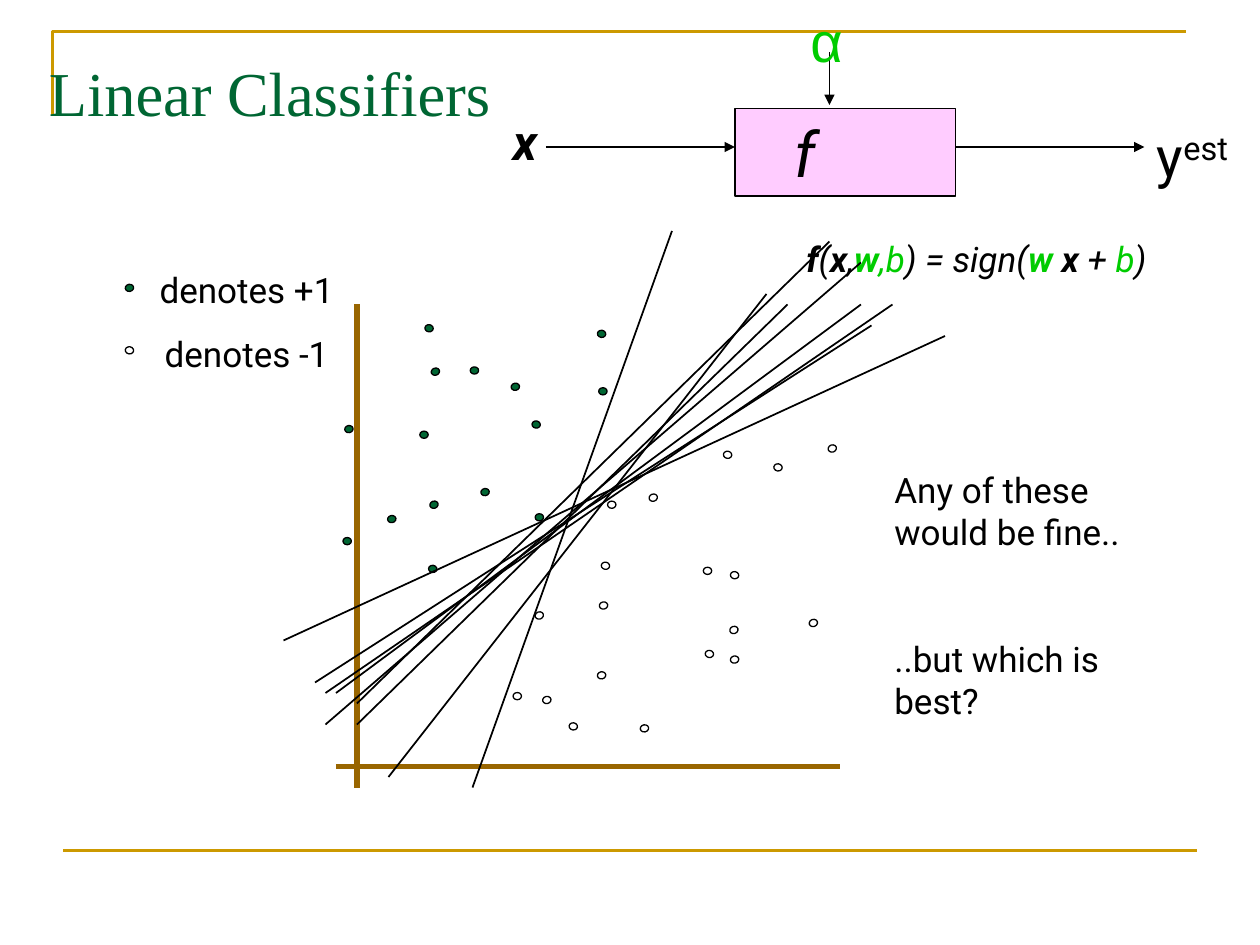
from lxml.etree import SubElement
from pptx import Presentation
from pptx.dml.color import RGBColor
from pptx.enum.shapes import MSO_CONNECTOR, MSO_SHAPE
from pptx.enum.text import MSO_ANCHOR, MSO_AUTO_SIZE, PP_ALIGN
from pptx.oxml.ns import qn
from pptx.util import Pt

INK, GREEN, LIME, PINK, WHITE = "000000", "006633", "00CC00", "FFCCFF", "FFFFFF"
GOLD, BROWN = "CC9900", "996600"
LEFT, MID = PP_ALIGN.LEFT, PP_ALIGN.CENTER

# Data points by tilt in degrees: centres of class +1, then of class -1
DOTS = {
    0: ([(36.4, 177.2), (182.5, 91.6), (109.1, 79.7), (146.2, 163.6), (80.3, 116.4)],
        [(133.6, 265.8), (187.6, 156.4), (242.3, 194.2)]),
    -18.6: ([(86.8, 80.4), (86, 156.4)],
            [(146.2, 219.7), (313.6, 124.3), (257.4, 228), (211.3, 152.4),
             (302.8, 224)]),
    8.2: ([(144.4, 110.6), (85.3, 193.1), (181.8, 58.8), (83.2, 55.6)],
          [(165.6, 283.1), (257.8, 196.7), (184, 191.3), (282.6, 135.1),
           (253.8, 127.9), (243.4, 241.7)]),
    -10.4: ([(115.2, 149.2), (61.9, 164.6), (132.5, 89), (37.4, 113.2)],
            [(206.3, 284.2), (181.8, 253.9), (182.9, 214), (150.5, 268),
             (257.8, 244.9)]),
}
# Candidate boundaries: lower end, upper end
BOUNDS = [
    (108, 318, 222, 0), (18, 258, 336, 54), (42, 282, 288, 42),
    (0, 234, 378, 60), (30, 264, 330, 42), (24, 282, 330, 18),
    (42, 270, 312, 6), (60, 312, 276, 36), (24, 264, 348, 42),
]


def tint(code):
    """Turn a hex string into a colour."""
    return RGBColor.from_string(code)


def rule(slide, x1, y1, x2, y2, color=INK, width=1, arrow=False):
    """Draw a straight line, with an arrowhead at its end if asked."""
    line = slide.shapes.add_connector(
        MSO_CONNECTOR.STRAIGHT, Pt(x1), Pt(y1), Pt(x2), Pt(y2))
    line.line.color.rgb = tint(color)
    line.line.width = Pt(width)
    if arrow:
        SubElement(line.line._get_or_add_ln(), qn("a:tailEnd"), type="triangle")
    SubElement(line._element.spPr, qn("a:effectLst"))


def solid(slide, kind, x, y, w, h, fill, width):
    """Draw a filled preset shape with a black outline."""
    shape = slide.shapes.add_shape(kind, Pt(x), Pt(y), Pt(w), Pt(h))
    shape.shadow.inherit = False
    shape.fill.solid()
    shape.fill.fore_color.rgb = tint(fill)
    shape.line.color.rgb = tint(INK)
    shape.line.width = Pt(width)
    return shape


def dot(slide, x, y, fill, tilt):
    """Draw one data point around its centre."""
    w, h = 4.8, 4.1
    mark = solid(slide, MSO_SHAPE.OVAL, x - w / 2, y - h / 2, w, h, fill, 0.75)
    mark.rotation = tilt


def write(para, runs, size, align=LEFT, before=0, face="Roboto"):
    """Fill a paragraph with runs of (text, style letters, colour)."""
    para.alignment = align
    para.space_before = Pt(before)
    for text, style, color in runs:
        run = para.add_run()
        run.text = text
        font = run.font
        font.name, font.size = face, Pt(size)
        font.bold, font.italic = "b" in style, "i" in style
        font.color.rgb = tint(color)
        if "^" in style:
            run._r.get_or_add_rPr().set("baseline", "30000")


def label(slide, x, y, w, h, lines, size, align=LEFT, gap=12.5, face="Roboto"):
    """Add a wrapped text box, one paragraph per list of runs."""
    frame = slide.shapes.add_textbox(Pt(x), Pt(y), Pt(w), Pt(h)).text_frame
    frame.word_wrap = True
    frame.auto_size = MSO_AUTO_SIZE.SHAPE_TO_FIT_TEXT
    for i, runs in enumerate(lines):
        para = frame.add_paragraph() if i else frame.paragraphs[0]
        write(para, runs, size, align, gap if i else 0, face)


def header(slide, x, y, w, h):
    """Draw the corner rule, the foot rule and the title."""
    path = slide.shapes.build_freeform(Pt(x), Pt(y + 48))
    path.add_line_segments([(Pt(x), Pt(y)), (Pt(x + w), Pt(y))], close=False)
    edge = path.convert_to_shape()
    edge.shadow.inherit = False
    edge.fill.background()
    edge.line.color.rgb = tint(GOLD)
    edge.line.width = Pt(1.5)
    rule(slide, x + 6, y + h, x + w + 6, y + h, GOLD, 1.5)

    title = slide.shapes.title
    title.left, title.top = Pt(x - 18), Pt(y + 6)
    title.width, title.height = Pt(366), Pt(54)
    frame = title.text_frame
    frame.auto_size = MSO_AUTO_SIZE.NONE
    frame.vertical_anchor = MSO_ANCHOR.BOTTOM
    frame.margin_left = Pt(16)
    para = frame.paragraphs[0]
    para.line_spacing = 0.9
    write(para, [("Linear Classifiers", "", GREEN)], 35.7, face="Times New Roman")
    slide.shapes._spTree.append(title._element)


def model(slide, x, y):
    """Draw the block f with its input, parameter and output."""
    box = solid(slide, MSO_SHAPE.RECTANGLE, x + 144, y + 62, 126, 50, PINK, 1)
    frame = box.text_frame
    frame.margin_right = Pt(53)
    frame.vertical_anchor = MSO_ANCHOR.MIDDLE
    write(frame.paragraphs[0], [("f", "i", INK)], 36, MID)
    rule(slide, x + 36, y + 84, x + 144, y + 84, arrow=True)
    rule(slide, x + 198, y + 30, x + 198, y + 60, arrow=True)
    rule(slide, x + 270, y + 84, x + 378, y + 84, arrow=True)
    label(slide, x, y + 60, 48, 41, [[("x", "bi", INK)]], 28, MID)
    label(slide, x + 180, y, 30, 46, [[("α", "", LIME)]], 32, MID, face="Arial")
    label(slide, x + 378, y + 66, 66, 46,
          [[("y", "", INK), ("est", "^", INK)]], 32)


def legend(slide, x, y):
    """Explain the two kinds of points."""
    label(slide, x, y, 150, 68,
          [[("denotes +1", "", INK)], [("denotes -1", "", INK)]], 20, MID)
    dot(slide, x + 8, y + 14.5, GREEN, -10.4)
    dot(slide, x + 8, y + 50.2, WHITE, 8.2)


def formula(slide, x, y):
    """Write the decision function."""
    runs = [("f", "bi", INK), ("(", "i", INK), ("x", "bi", INK),
            (",", "i", INK), ("w", "bi", LIME), (",b", "i", LIME),
            (") = sign(", "i", INK), ("w", "bi", LIME), (" x ", "bi", INK),
            ("+ ", "i", INK), ("b", "i", LIME), (")", "i", INK)]
    label(slide, x, y, 252, 32, [runs], 20, MID)


def plot(slide, x, y):
    """Draw axes, points and candidate boundaries."""
    rule(slide, x + 42, y + 42, x + 42, y + 318, BROWN, 3)
    rule(slide, x + 30, y + 306, x + 318, y + 306, BROWN, 3)
    for tilt, groups in DOTS.items():
        for fill, group in zip((GREEN, WHITE), groups):
            for dx, dy in group:
                dot(slide, x + dx, y + dy, fill, tilt)
    for x1, y1, x2, y2 in BOUNDS:
        rule(slide, x + x1, y + y1, x + x2, y + y2)


def main():
    """Build and save the slide."""
    deck = Presentation()
    deck.slide_width, deck.slide_height = Pt(720), Pt(540)
    slide = deck.slides.add_slide(deck.slide_layouts[5])
    header(slide, 30, 18, 648, 468)
    model(slide, 276, 0)
    legend(slide, 66, 150)
    formula(slide, 432, 132)
    plot(slide, 162, 132)
    label(slide, 504, 264, 174, 153,
          [[("Any of these would be fine..", "", INK)],
           [("..but which is best?", "", INK)]], 20, gap=49)
    deck.save("out.pptx")


main()
